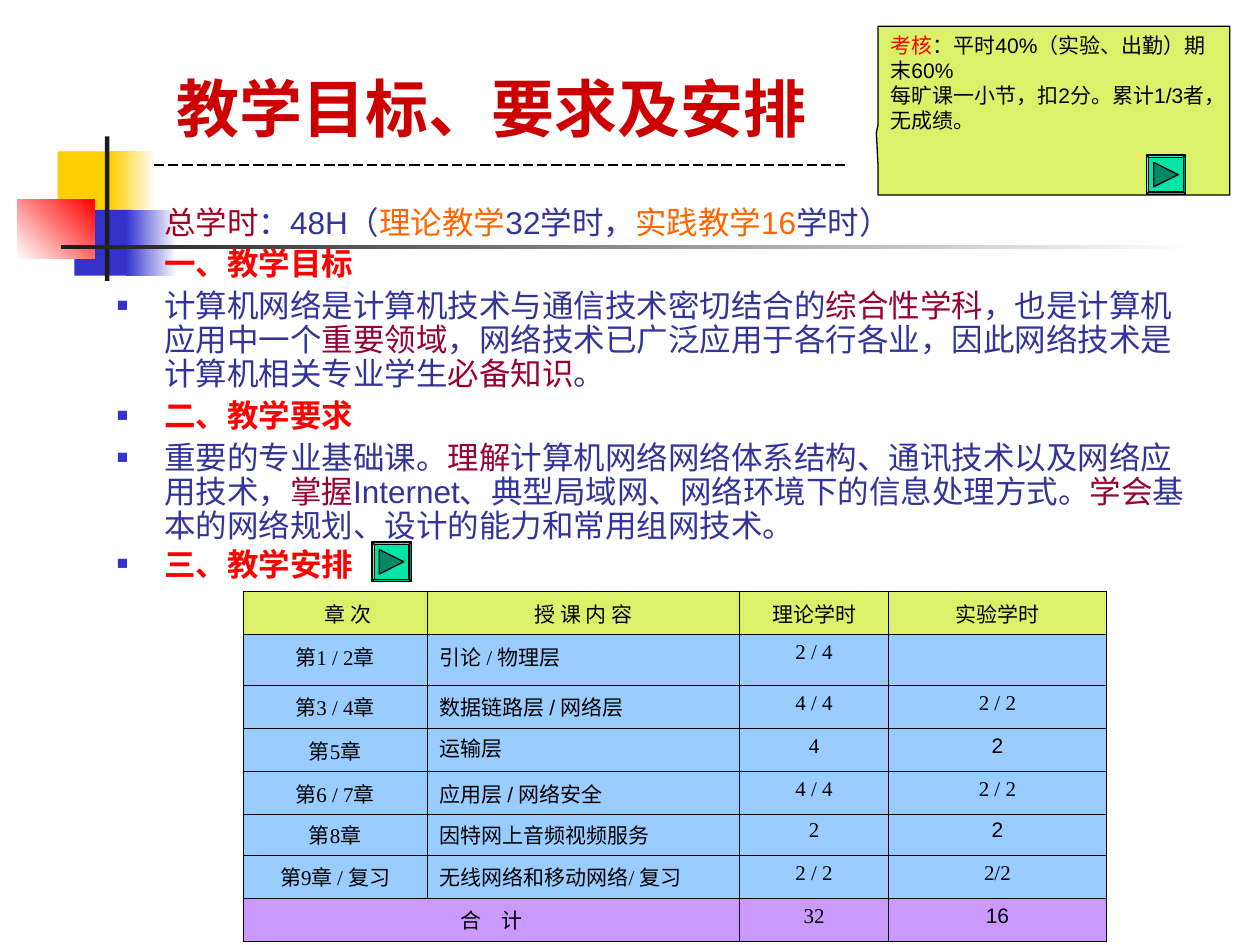
from lxml.etree import SubElement
from pptx import Presentation
from pptx.dml.color import RGBColor
from pptx.enum.dml import MSO_LINE
from pptx.enum.lang import MSO_LANGUAGE_ID
from pptx.enum.shapes import MSO_CONNECTOR, MSO_SHAPE
from pptx.enum.text import MSO_ANCHOR, PP_ALIGN
from pptx.oxml.ns import qn
from pptx.util import Pt

COLORS = {
    "yellow": "FFCF01", "blue": "3333CC", "red": "FF0000", "white": "FFFFFF",
    "dark": "1C1C1C", "black": "000000", "title": "CC0000", "crimson": "A50021",
    "navy": "333399", "orange": "FF6600", "wine": "990033", "lime": "DAF169",
    "sky": "99CCFF", "violet": "CC99FF", "mint": "00E4A8", "green": "008A65",
}
CENTER = {"alignment": PP_ALIGN.CENTER}

BODY = [  # line spacing, then (text, colour) spans; red spans are bold headings
    (0.8, [("总学时", "crimson"), ("：48H（", "navy"), ("理论教学", "orange"),
           ("32学时，", "navy"), ("实践教学16", "orange"), ("学时）", "navy")]),
    (0.9, [("一、教学目标", "red")]),
    (0.9, [("计算机网络是计算机技术与通信技术密切结合的", "navy"), ("综合性学科", "wine"),
           ("，也是计算机应用中一个", "navy"), ("重要领域", "wine"),
           ("，网络技术已广泛应用于各行各业，因此网络技术是计算机相关专业学生", "navy"),
           ("必备知识", "wine"), ("。", "navy")]),
    (0.9, [("二、教学要求", "red")]),
    (0.9, [("重要的专业基础课。", "navy"), ("理解", "wine"),
           ("计算机网络网络体系结构、通讯技术以及网络应用技术，", "navy"), ("掌握", "wine"),
           ("Internet、典型局域网、网络环境下的信息处理方式。", "navy"), ("学会", "wine"),
           ("基本的网络规划、设计的能力和常用组网技术。", "navy")]),
    (0.8, [("三、教学安排", "red")]),
]
NOTE = [
    [("考核", "red"), ("：平时40%（实验、出勤）期末60%", "black")],
    [("每旷课一小节，扣2分。累计1/3者，无成绩。", "black")],
]
SCHEDULE = [
    ["章 次", "授 课 内 容", "理论学时", "实验学时"],
    ["第1 / 2章", "引论 / 物理层", "2 / 4", ""],
    ["第3 / 4章", "数据链路层 / 网络层", "4 / 4", "2 / 2"],
    ["第5章", "运输层", "4", "2"],
    ["第6 / 7章", "应用层 / 网络安全", "4 / 4", "2 / 2"],
    ["第8章", "因特网上音频视频服务", "2", "2"],
    ["第9章 / 复习", "无线网络和移动网络/ 复习", "2 / 2", "2/2"],
    ["合　计", "", "32", "16"],
]
ARIAL_CELLS = {(2, 1), (3, 1), (4, 1), (5, 1), (3, 3), (5, 3), (7, 3)}
TIGHT_CELLS = {(3, 1), (5, 0), (5, 1), (5, 2), (5, 3)}


def rgb(name):
    return RGBColor.from_string(COLORS[name])


def apply(target, formats):
    for name, value in formats.items():
        setattr(target, name, value)


def add_span(para, text, color, **formats):
    span = para.add_run()
    span.text = text
    apply(span.font, {"name": "Arial", "language_id": MSO_LANGUAGE_ID.SIMPLIFIED_CHINESE,
                      **formats})
    span.font.color.rgb = rgb(color)


def next_para(frame, index):
    return frame.add_paragraph() if index else frame.paragraphs[0]


def add_plain(page, kind, box, color, line=None):
    shape = page.shapes.add_shape(kind, *map(Pt, box))
    shape.shadow.inherit = False
    shape.fill.solid()
    shape.fill.fore_color.rgb = rgb(color)
    if line:
        shape.line.color.rgb = rgb(line)
        shape.line.width = Pt(0.75)
    else:
        shape.line.fill.background()
    return shape


def add_fade(page, box, start, end, angle=0):
    shape = add_plain(page, MSO_SHAPE.RECTANGLE, box, start)
    shape.fill.gradient()
    shape.fill.gradient_angle = angle
    for stop, color in zip(shape.fill.gradient_stops, (start, end)):
        stop.color.rgb = rgb(color)


def add_ornament(page, left, top):
    # Coloured squares with the crossing bars
    add_plain(page, MSO_SHAPE.RECTANGLE, (left + 23, top + 8.5, 34.5, 37.5), "yellow")
    add_fade(page, (left + 53, top + 8.5, 26, 37.5), "yellow", "white")
    add_plain(page, MSO_SHAPE.RECTANGLE, (left + 32.5, top + 42, 33, 37.5), "blue")
    add_fade(page, (left + 62, top + 42, 29, 37.5), "blue", "white")
    add_fade(page, (left, top + 36, 44, 33.5), "white", "red", 45)
    add_plain(page, MSO_SHAPE.RECTANGLE, (left + 50, top, 2.5, 82.5), "dark")
    add_fade(page, (left + 25, top + 62, 648, 2.5), "dark", "white")


def add_textbox(page, box, anchor):
    frame = page.shapes.add_textbox(*map(Pt, box)).text_frame
    apply(frame, {"word_wrap": True, "vertical_anchor": anchor})
    return frame


def add_title(page, box):
    para = add_textbox(page, box, MSO_ANCHOR.BOTTOM).paragraphs[0]
    apply(para, CENTER)
    add_span(para, "教学目标、要求及安排", "title", size=Pt(36), bold=True)


def add_bullet(para, indent):
    props = para._p.get_or_add_pPr()
    props.set("marL", str(Pt(indent)))
    props.set("indent", str(-Pt(indent)))
    color = SubElement(props, qn("a:buClr"))
    SubElement(color, qn("a:srgbClr"), val=COLORS["blue"])
    SubElement(props, qn("a:buSzPct"), val="60000")
    SubElement(props, qn("a:buFont"), typeface="Arial")
    SubElement(props, qn("a:buChar"), char="■")


def add_body(page, box):
    frame = add_textbox(page, box, MSO_ANCHOR.TOP)
    for index, (spacing, spans) in enumerate(BODY):
        para = next_para(frame, index)
        add_bullet(para, 27)
        para.line_spacing = spacing
        if index:
            para.space_before = Pt(4.5)
        for text, color in spans:
            add_span(para, text, color, size=Pt(18), bold=color == "red")


def add_borders(cell):
    props = cell._tc.get_or_add_tcPr()
    for position, side in enumerate(("lnL", "lnR", "lnT", "lnB")):
        line = props.makeelement(qn(f"a:{side}"), {"w": str(Pt(0.45))})
        fill = SubElement(line, qn("a:solidFill"))
        SubElement(fill, qn("a:srgbClr"), val=COLORS["black"])
        props.insert(position, line)


def add_schedule(page, left, top):
    widths = (105, 178.75, 85, 124.5)
    heights = [24.7] * 5 + [23] + [24.7] * 2
    table = page.shapes.add_table(len(heights), len(widths), Pt(left), Pt(top),
                                  Pt(sum(widths)), Pt(sum(heights))).table
    apply(table, {"first_row": False, "horz_banding": False})
    for column, width in zip(table.columns, widths):
        column.width = Pt(width)
    for row, height in zip(table.rows, heights):
        row.height = Pt(height)
    last = len(heights) - 1
    row_fills = {0: "lime", last: "violet"}
    for r, texts in enumerate(SCHEDULE):
        for c, text in enumerate(texts):
            cell = table.cell(r, c)
            cell.fill.solid()
            cell.fill.fore_color.rgb = rgb(row_fills.get(r, "sky"))
            add_borders(cell)
            if not text:
                continue
            para = cell.text_frame.paragraphs[0]
            if c != 1 or r == 0:
                apply(para, CENTER)
            if (r, c) in TIGHT_CELLS:
                para.line_spacing = 0.9
            face = "Arial" if (r, c) in ARIAL_CELLS else "Times New Roman"
            add_span(para, text, "black", name=face, size=Pt(12))
    # First heading sits right of centre; the total label spans two columns
    table.cell(0, 0).text_frame.paragraphs[0]._p.get_or_add_pPr().set("marL", str(Pt(15)))
    table.cell(last, 0).merge(table.cell(last, 1))


def add_note(page, box):
    note = add_plain(page, MSO_SHAPE.RECTANGULAR_CALLOUT, box, "lime", "black")
    note.adjustments[0], note.adjustments[1] = -0.505, 0.129
    frame = note.text_frame
    apply(frame, {"word_wrap": True, "vertical_anchor": MSO_ANCHOR.TOP})
    for index, spans in enumerate(NOTE):
        para = next_para(frame, index)
        para.alignment = PP_ALIGN.LEFT
        for text, color in spans:
            add_span(para, text, color, size=Pt(12))


def add_divider(page, left, right, top):
    line = page.shapes.add_connector(MSO_CONNECTOR.STRAIGHT, Pt(left), Pt(top),
                                     Pt(right), Pt(top))
    line.line.color.rgb = rgb("black")
    apply(line.line, {"width": Pt(0.75), "dash_style": MSO_LINE.LONG_DASH})
    SubElement(line._element.spPr, qn("a:effectLst"))


def add_play_button(page, left, top, size=22.6):
    frame = add_plain(page, MSO_SHAPE.BEVEL, (left, top, size, size), "mint", "black")
    frame.adjustments[0] = 0.06
    x, y, side = left + size * 0.19, top + size * 0.19, size * 0.62
    builder = page.shapes.build_freeform(Pt(x), Pt(y))
    builder.add_line_segments([(Pt(x + side), Pt(y + side / 2)), (Pt(x), Pt(y + side))])
    arrow = builder.convert_to_shape()
    arrow.shadow.inherit = False
    arrow.fill.solid()
    arrow.fill.fore_color.rgb = rgb("green")
    arrow.line.color.rgb = rgb("black")
    arrow.line.width = Pt(0.75)


def main():
    deck = Presentation()
    apply(deck, {"slide_width": Pt(720), "slide_height": Pt(540)})
    page = deck.slides.add_slide(deck.slide_layouts[6])
    add_ornament(page, 10, 78)
    add_title(page, (60, 20, 442, 66.5))
    add_body(page, (59.75, 116.5, 629, 227))
    add_schedule(page, 139, 338)
    add_note(page, (501.75, 15, 201, 96.5))
    add_divider(page, 88, 484.5, 94.25)
    for left, top in ((212.5, 309.75), (655, 88.5)):
        add_play_button(page, left, top)
    deck.save("out.pptx")


if __name__ == "__main__":
    main()
